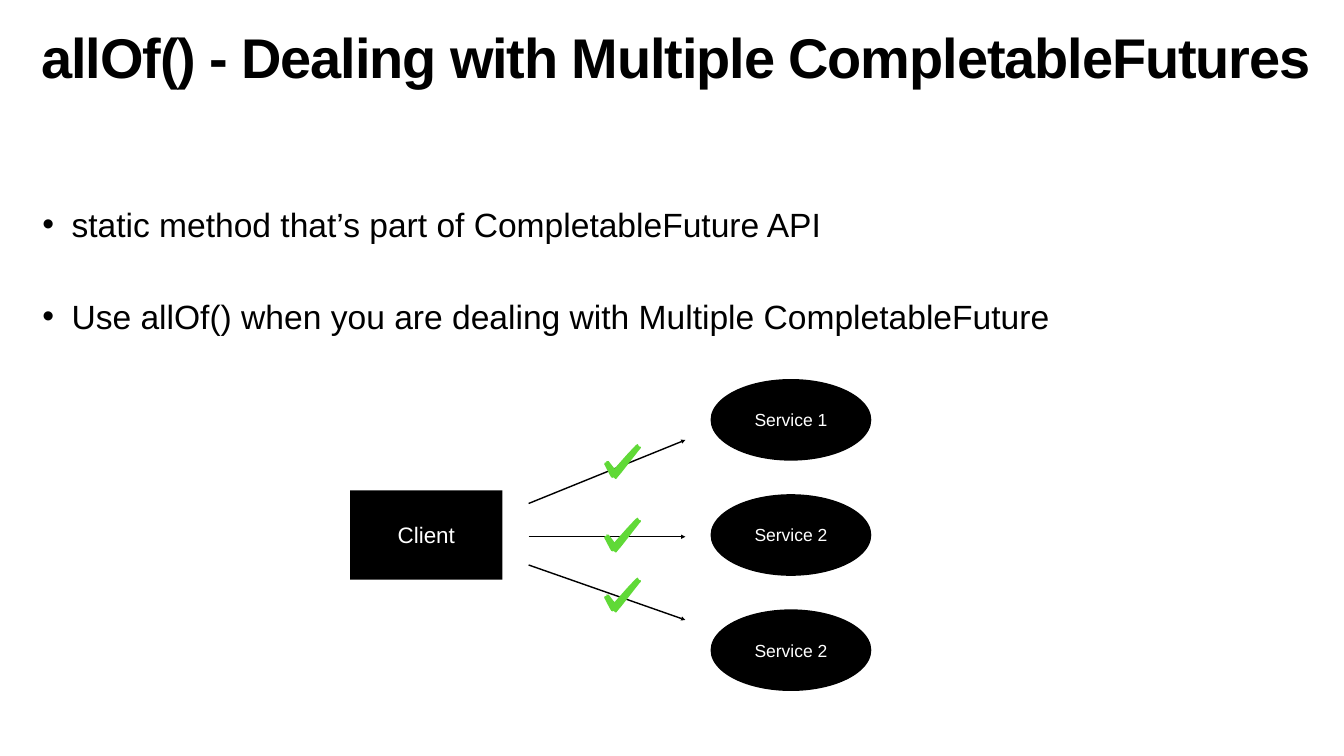
from pptx import Presentation
from pptx.dml.color import RGBColor
from pptx.enum.shapes import MSO_CONNECTOR, MSO_SHAPE
from pptx.enum.text import MSO_ANCHOR, MSO_AUTO_SIZE, PP_ALIGN
from pptx.oxml.ns import qn
from pptx.util import Inches, Pt
from lxml.etree import SubElement

BLACK, WHITE, GREEN = "000000", "FFFFFF", "60D937"


def rgb(value):
    return RGBColor.from_string(value)


def write(shape, lines, size, color, anchor=MSO_ANCHOR.TOP, align=PP_ALIGN.LEFT, bold=False):
    """Fill a shape's text frame and return its paragraphs."""
    tf = shape.text_frame
    frame = {"word_wrap": True, "auto_size": MSO_AUTO_SIZE.NONE, "vertical_anchor": anchor}
    frame.update({f"margin_{side}": Inches(0.06) for side in ("left", "right", "top", "bottom")})
    for name, value in frame.items():
        setattr(tf, name, value)
    tf.text = "\n".join(lines)
    for p in tf.paragraphs:
        p.alignment = align
        for r in p.runs:
            for name, value in {"name": "Arial", "size": Pt(size), "bold": bold}.items():
                setattr(r.font, name, value)
            r.font.color.rgb = rgb(color)
    return tf.paragraphs


prs = Presentation()
prs.slide_width, prs.slide_height = Inches(26.67), Inches(15)
s = prs.slides.add_slide(prs.slide_layouts[5])

# Title
title = s.shapes.title
box = {"left": 0.76, "top": 0.64, "width": 25.54, "height": 1.95}
for name, value in box.items():
    setattr(title, name, Inches(value))
p = write(title, ["allOf() - Dealing with Multiple CompletableFutures"], 79.9, BLACK, bold=True)[0]
p.line_spacing = 0.8
p.runs[0].font._element.set("spc", "-160")

# Bullets
body = s.shapes.add_textbox(Inches(0.78), Inches(3.59), Inches(25.5), Inches(10.93))
bullets = [
    "static method that’s part of CompletableFuture API",
    "Use allOf() when you are dealing with Multiple CompletableFuture",
]
for i, p in enumerate(write(body, bullets, 48, BLACK)):
    p.line_spacing = 1.5
    p.space_before = Pt(45 if i else 0)
    pPr = p._p.get_or_add_pPr()
    pPr.set("marL", str(Inches(0.58)))
    pPr.set("indent", str(-Inches(0.58)))
    SubElement(pPr, qn("a:buFont")).set("typeface", "Arial")
    SubElement(pPr, qn("a:buChar")).set("char", "•")

# Client and services
nodes = [("Client", MSO_SHAPE.RECTANGLE, 6.95, 9.73, 3.02, 1.77, 32)]
for i, label in enumerate(["Service 1", "Service 2", "Service 2"]):
    nodes.append((label, MSO_SHAPE.OVAL, 14.1, 7.52 + 2.285 * i, 3.19, 1.62, 25))
for label, kind, x, y, w, h, size in nodes:
    sp = s.shapes.add_shape(kind, Inches(x), Inches(y), Inches(w), Inches(h))
    sp.shadow.inherit = False
    sp.fill.solid()
    sp.fill.fore_color.rgb = rgb(BLACK)
    sp.line.fill.background()
    write(sp, [label], size, WHITE, MSO_ANCHOR.MIDDLE, PP_ALIGN.CENTER)

# Calls from the client to each service
for y1, y2 in [(9.99, 8.73), (11.21, 12.3), (10.65, 10.65)]:
    arrow = s.shapes.add_connector(
        MSO_CONNECTOR.STRAIGHT, Inches(10.49), Inches(y1), Inches(13.6), Inches(y2))
    arrow.line.color.rgb = rgb(BLACK)
    arrow.line.width = Pt(2)
    tail = SubElement(arrow.line._get_or_add_ln(), qn("a:tailEnd"))
    for name, value in {"type": "triangle", "w": "med", "len": "med"}.items():
        tail.set(name, value)
    SubElement(arrow._element.spPr, qn("a:effectLst"))

# Check marks, outlined in hundredths of an inch
CHECK = [
    (66, 0), (62, 3), (46, 20), (30, 38), (22, 47), (21, 49), (19, 47), (12, 38),
    (9, 34), (7, 34), (4, 34), (5, 36), (1, 37), (0, 40), (11, 61), (14, 66),
    (17, 67), (19, 66), (22, 69), (24, 69), (28, 64), (34, 57), (52, 34), (70, 11),
    (72, 9), (73, 7), (72, 5), (70, 5), (68, 3), (68, 2),
]
for y in (8.81, 10.27, 11.46):
    builder = s.shapes.build_freeform(*CHECK[0], scale=Inches(0.01))
    builder.add_line_segments(CHECK[1:], close=True)
    check = builder.convert_to_shape(Inches(11.99), Inches(y))
    check.shadow.inherit = False
    check.fill.solid()
    check.fill.fore_color.rgb = rgb(GREEN)
    check.line.fill.background()

prs.save("out.pptx")
